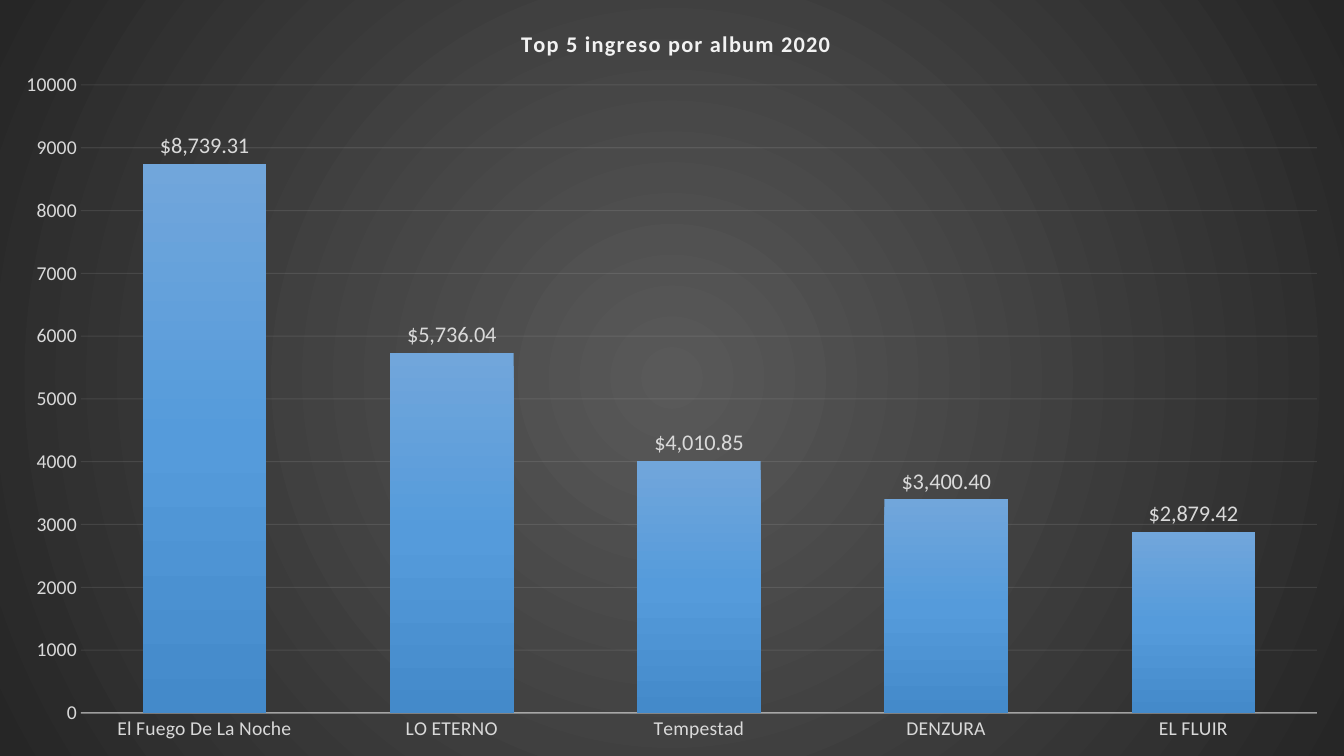
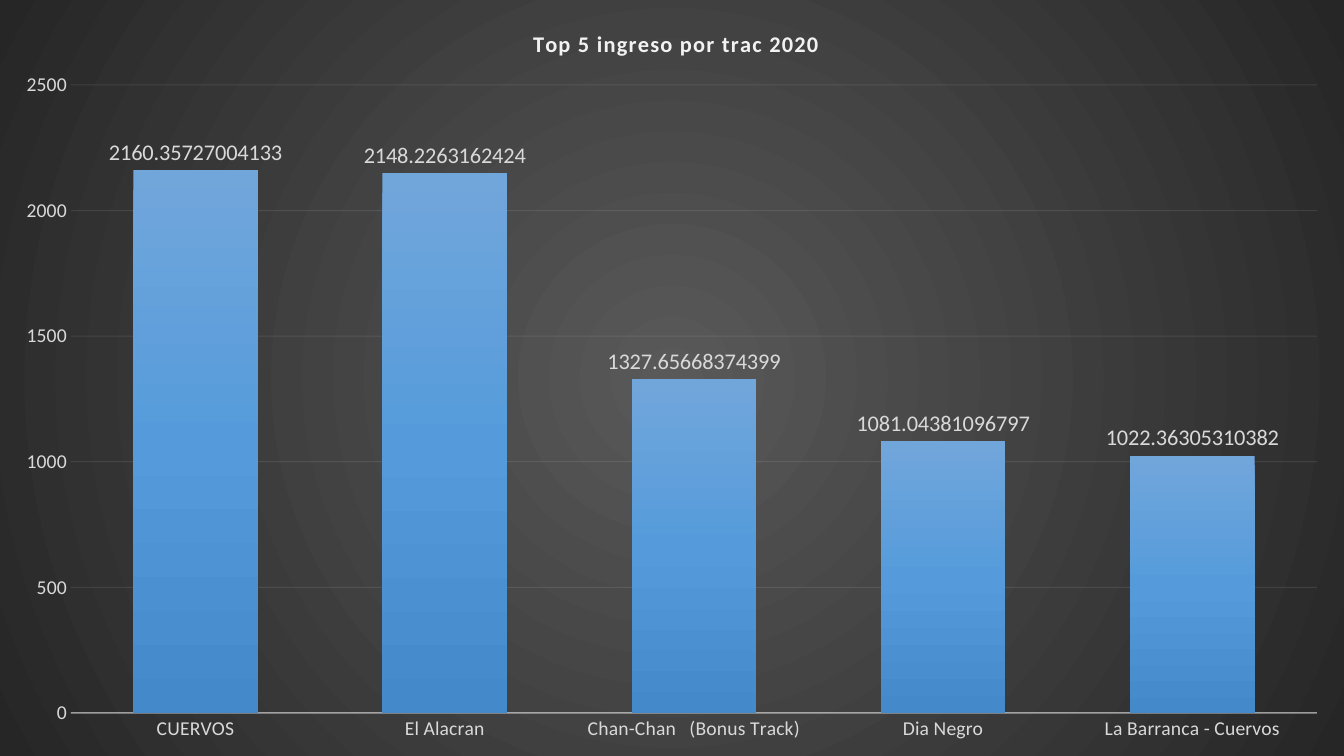
from lxml import etree
from pptx import Presentation
from pptx.chart.data import CategoryChartData
from pptx.dml.color import RGBColor
from pptx.enum.chart import XL_CHART_TYPE, XL_LABEL_POSITION, XL_TICK_MARK
from pptx.oxml.ns import qn
from pptx.util import Pt

COLUMN = XL_CHART_TYPE.COLUMN_CLUSTERED
TOP = XL_LABEL_POSITION.OUTSIDE_END
NONE = XL_TICK_MARK.NONE
WHITE = RGBColor(0xF2, 0xF2, 0xF2)
GREY = RGBColor(0xD9, 0xD9, 0xD9)
BACK = [(0, RGBColor(0x59, 0x59, 0x59)), (100, RGBColor(0x26, 0x26, 0x26))]
BLUE = [
    (0, RGBColor(0x71, 0xA6, 0xDB)),
    (50, RGBColor(0x55, 0x9B, 0xDB)),
    (100, RGBColor(0x44, 0x8A, 0xCA)),
]
FACE = "Calibri"
WIDE, HIGH = 1344, 756
SCALE = 12192000 / WIDE
PLOT_TOP, PLOT_END, PLOT_RIGHT = 85, 713, 1317
TITLE_TOP = 25

SLIDES = [
    {
        "title": "Top 5 ingreso por album 2020",
        "title_left": 517,
        "plot_left": 81,
        "step": 1000,
        "top": 10000,
        "format": '"$"#,##0.00',
        "bars": [
            ("El Fuego De La Noche", 8739.31),
            ("LO ETERNO", 5736.04),
            ("Tempestad", 4010.85),
            ("DENZURA", 3400.40),
            ("EL FLUIR", 2879.42),
        ],
    },
    {
        "title": "Top 5 ingreso por trac 2020",
        "title_left": 529,
        "plot_left": 71,
        "step": 500,
        "top": 2500,
        "format": "General",
        "bars": [
            ("CUERVOS", 2160.35727004133),
            ("El Alacran", 2148.2263162424),
            ("Chan-Chan   (Bonus Track)", 1327.65668374399),
            ("Dia Negro", 1081.04381096797),
            ("La Barranca - Cuervos", 1022.36305310382),
        ],
    },
]


def px(size):
    return round(size * SCALE)


def style(font, size, color, bold=False):
    font.name, font.size, font.bold = FACE, Pt(size), bold
    font.color.rgb = color


def write(frame, text, size, color, bold=False, gap=0):
    run = frame.paragraphs[0].add_run()
    run.text = text
    style(run.font, size, color, bold)
    run._r.get_or_add_rPr().set("spc", str(gap * 100))


def blend(stops, round_=False):
    fill = etree.Element(qn("a:gradFill"), rotWithShape="1")
    row = etree.SubElement(fill, qn("a:gsLst"))
    for spot, color in stops:
        stop = etree.SubElement(row, qn("a:gs"), pos=str(spot * 1000))
        etree.SubElement(stop, qn("a:srgbClr"), val=str(color))
    if round_:
        ring = etree.SubElement(fill, qn("a:path"), path="circle")
        half = dict.fromkeys("ltrb", "50000")
        etree.SubElement(ring, qn("a:fillToRect"), half)
    else:
        etree.SubElement(fill, qn("a:lin"), ang="5400000", scaled="0")
    return fill


def place(node, index, **parts):
    for old in node.findall(qn("c:layout")):
        node.remove(old)
    lay = etree.Element(qn("c:layout"))
    man = etree.SubElement(lay, qn("c:manualLayout"))
    for tag, val in parts.items():
        etree.SubElement(man, qn("c:" + tag), val=str(val))
    node.insert(index, lay)


def rule(line, color, width):
    line.color.rgb = color
    line.width = Pt(width)


def fade(root, query, share):
    for color in root.xpath(query + "//a:srgbClr"):
        etree.SubElement(color, qn("a:alpha"), val=str(share * 1000))


def set_axes(chart, data):
    for axis in (chart.category_axis, chart.value_axis):
        axis.major_tick_mark = axis.minor_tick_mark = NONE
        style(axis.tick_labels.font, 14, GREY)
    rule(chart.category_axis.format.line, WHITE, 1)
    axis = chart.value_axis
    axis.minimum_scale, axis.maximum_scale = 0, data["top"]
    axis.major_unit = data["step"]
    axis.tick_labels.number_format = "General"
    axis.tick_labels.number_format_is_linked = False
    axis.format.line.fill.background()
    axis.has_major_gridlines = True
    rule(axis.major_gridlines.format.line, WHITE, 0.75)
    fade(chart.element, ".//c:catAx/c:spPr", 54)
    fade(chart.element, ".//c:majorGridlines", 10)


def set_bars(chart, data):
    plot = chart.plots[0]
    plot.gap_width, plot.overlap = 100, -24
    plot.vary_by_categories = False
    bars = plot.series[0]
    bars.invert_if_negative = False
    bars.format.line.fill.background()
    chart.element.xpath(".//c:ser/c:spPr")[0].insert(0, blend(BLUE))
    labels = bars.data_labels
    labels.show_value, labels.position = True, TOP
    labels.number_format = data["format"]
    labels.number_format_is_linked = False
    style(labels.font, 16, GREY)


def set_frame(chart, data):
    root = chart.element
    chart.has_legend = False
    chart.has_title = True
    write(chart.chart_title.text_frame, data["title"], 16, WHITE, bold=True, gap=1)
    place(root.xpath("c:chart/c:title")[0], 1, xMode="edge", yMode="edge",
          x=data["title_left"] / WIDE, y=TITLE_TOP / HIGH)
    left = data["plot_left"]
    place(root.xpath("c:chart/c:plotArea")[0], 0, layoutTarget="inner",
          xMode="edge", yMode="edge", x=left / WIDE, y=PLOT_TOP / HIGH,
          w=(PLOT_RIGHT - left) / WIDE, h=(PLOT_END - PLOT_TOP) / HIGH)
    shape = etree.Element(qn("c:spPr"))
    shape.append(blend(BACK, round_=True))
    line = etree.SubElement(shape, qn("a:ln"))
    etree.SubElement(line, qn("a:noFill"))
    root.find(qn("c:chart")).addnext(shape)


def add_slide(deck, data):
    slide = deck.slides.add_slide(deck.slide_layouts[6])
    names, values = zip(*data["bars"])
    table = CategoryChartData()
    table.categories = names
    table.add_series("Series 1", values)
    chart = slide.shapes.add_chart(COLUMN, 0, 0, px(WIDE), px(HIGH), table).chart
    style(chart.font, 10, GREY)
    set_axes(chart, data)
    set_bars(chart, data)
    set_frame(chart, data)


def main():
    deck = Presentation()
    deck.slide_width, deck.slide_height = px(WIDE), px(HIGH)
    for data in SLIDES:
        add_slide(deck, data)
    deck.save("out.pptx")


if __name__ == "__main__":
    main()
